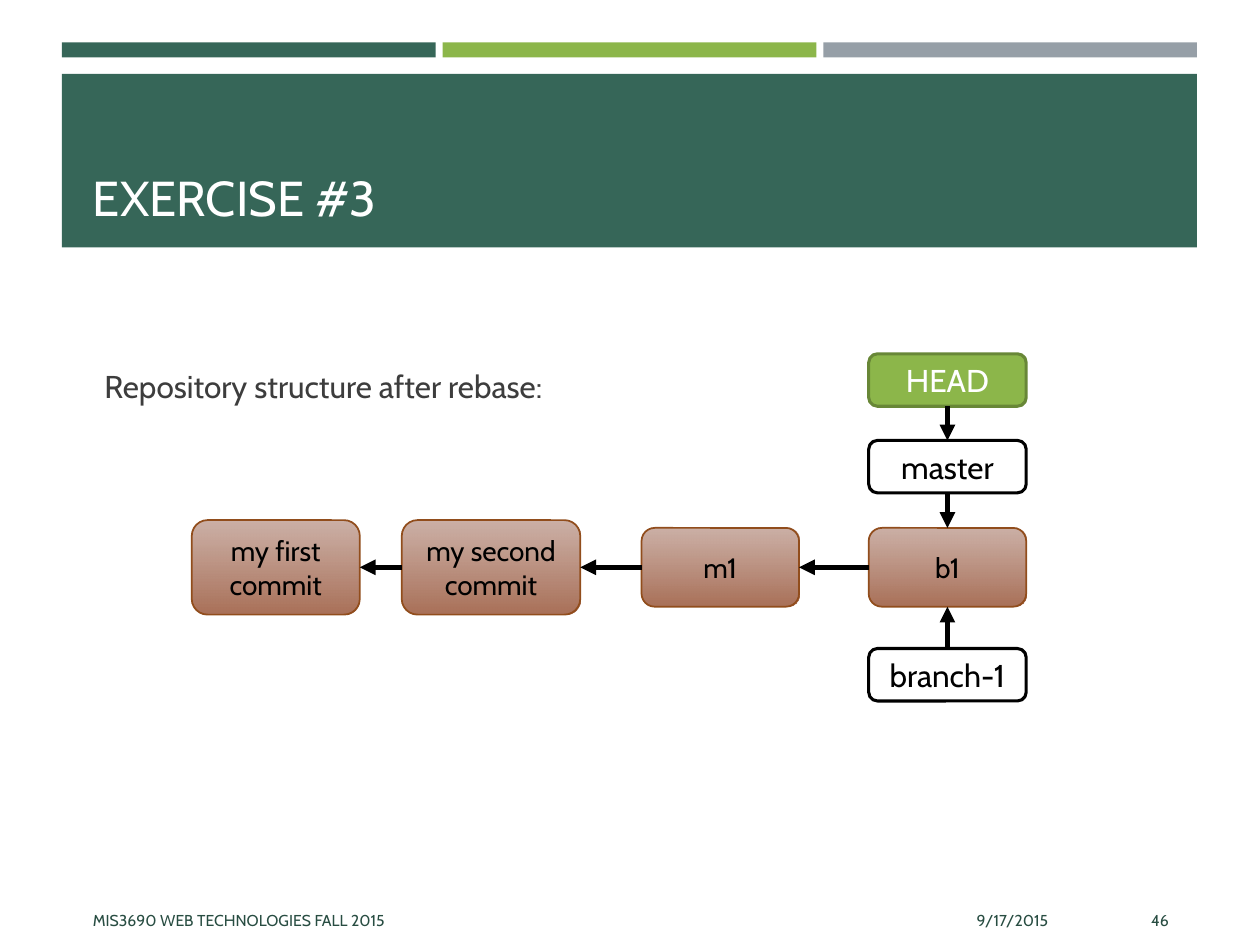
from lxml.etree import SubElement
from pptx import Presentation
from pptx.dml.color import RGBColor
from pptx.enum.shapes import MSO_CONNECTOR, MSO_SHAPE
from pptx.enum.text import MSO_ANCHOR, MSO_AUTO_SIZE, PP_ALIGN
from pptx.oxml.ns import qn
from pptx.util import Pt

FONT = "Cabin"
GREEN, LIME, GRAY = "366658", "8CB64A", "969FA7"
TOP, LEFT, BOTTOM, RIGHT = range(4)


def color(value):
    return RGBColor.from_string(value)


def place(shape, box):
    shape.left, shape.top, shape.width, shape.height = map(Pt, box)


def write(shape, text, size, ink, align=PP_ALIGN.LEFT, anchor=MSO_ANCHOR.MIDDLE):
    frame = shape.text_frame
    frame.text = text
    frame.word_wrap = True
    frame.auto_size = MSO_AUTO_SIZE.NONE
    frame.vertical_anchor = anchor
    para = frame.paragraphs[0]
    para.alignment = align
    font = para.runs[0].font
    font.name, font.size = FONT, Pt(size)
    font.color.rgb = color(ink)


def add_block(page, kind, box, fill=None):
    shape = page.shapes.add_shape(kind, *map(Pt, box))
    shape.shadow.inherit = False
    if fill:
        shape.fill.solid()
        shape.fill.fore_color.rgb = color(fill)
    return shape


def add_header(page, box):
    left, top, width, height = box
    gap, bar_height, band_top = 4, 8.6, 18
    bar_width = (width - 2 * gap) / 3
    for index, fill in enumerate((GREEN, LIME, GRAY)):
        bar_box = (left + index * (bar_width + gap), top, bar_width, bar_height)
        add_block(page, MSO_SHAPE.RECTANGLE, bar_box, fill).line.fill.background()
    band_box = (left, top + band_top, width, height - band_top)
    add_block(page, MSO_SHAPE.RECTANGLE, band_box, GREEN).line.fill.background()
    title = page.shapes.title
    place(title, (left + 10.5, top + 24, width - 20, 85))
    write(title, "EXERCISE #3", 28, "FFFFFF", anchor=MSO_ANCHOR.BOTTOM)
    tree = page.shapes._spTree
    tree.remove(title._element)
    tree.append(title._element)


def add_body(page, box):
    body = page.placeholders[1]
    place(body, box)
    write(body, "Repository structure after rebase:", 18, "3D3D3D", anchor=MSO_ANCHOR.TOP)
    body.text_frame.margin_top = Pt(67)
    para = body.text_frame.paragraphs[0]
    para.space_before = Pt(0)
    properties = para._p.get_or_add_pPr()
    properties.set("marL", str(Pt(1.5)))
    properties.set("indent", "0")
    SubElement(properties, qn("a:buNone"))


def add_node(page, text, box, size, ink, line, line_width, fill=None):
    node = add_block(page, MSO_SHAPE.ROUNDED_RECTANGLE, box, fill)
    node.line.color.rgb = color(line)
    node.line.width = Pt(line_width)
    write(node, text, size, ink, PP_ALIGN.CENTER)
    return node


def add_commit(page, text, box):
    node = add_node(page, text, box, 16, "000000", "914D1C", 1)
    node.fill.gradient()
    node.fill.gradient_angle = 270
    for stop, position, tint in zip(node.fill.gradient_stops, (0, 1), ("C6A79C", "A97058")):
        stop.position = position
        stop.color.rgb = color(tint)
    first_tint = node._element.find(".//" + qn("a:gs"))[0]
    SubElement(first_tint, qn("a:alpha")).set("val", "90000")
    return node


def add_arrow(page, start, start_site, end, end_site):
    arrow = page.shapes.add_connector(MSO_CONNECTOR.STRAIGHT, 0, 0, 0, 0)
    arrow.begin_connect(start, start_site)
    arrow.end_connect(end, end_site)
    arrow.line.color.rgb = color("000000")
    arrow.line.width = Pt(3)
    SubElement(arrow.line._get_or_add_ln(), qn("a:tailEnd")).set("type", "triangle")
    SubElement(arrow._element.spPr, qn("a:effectLst"))


def add_history(page, box):
    left, top, width, height = box
    middle = top + 122
    commits = []
    for text, offset, node_width, node_height in (
        ("my first commit", 0, 96, 54),
        ("my second commit", 120, 102, 54),
        ("m1", 257, 90, 45),
        ("b1", width - 90, 90, 45),
    ):
        node_box = (left + offset, middle - node_height / 2, node_width, node_height)
        commits.append(add_commit(page, text, node_box))

    label_left = left + width - 90
    head, master, branch = [
        add_node(page, text, (label_left, label_top, 90, 30), 18, ink, line, 1.75, fill)
        for text, label_top, ink, line, fill in (
            ("HEAD", top, "FFFFFF", "688737", LIME),
            ("master", top + 49.5, "000000", "000000", "FFFFFF"),
            ("branch-1", top + height - 30, "000000", "000000", "FFFFFF"),
        )
    ]
    for parent, child in zip(commits, commits[1:]):
        add_arrow(page, child, LEFT, parent, RIGHT)
    add_arrow(page, head, BOTTOM, master, TOP)
    add_arrow(page, master, BOTTOM, commits[-1], TOP)
    add_arrow(page, branch, TOP, commits[-1], BOTTOM)


def add_footer(page, box):
    left, top, width, height = box
    for text, offset, field_width, align in (
        ("MIS3690 WEB TECHNOLOGIES FALL 2015", 0, 384, PP_ALIGN.LEFT),
        ("9/17/2015", 392, 168, PP_ALIGN.RIGHT),
        ("46", width - 60, 60, PP_ALIGN.RIGHT),
    ):
        field_box = (left + offset, top, field_width, height)
        field = page.shapes.add_textbox(*map(Pt, field_box))
        write(field, text, 9, "284D42", align)


def main():
    deck = Presentation()
    deck.slide_width, deck.slide_height = Pt(720), Pt(540)
    page = deck.slides.add_slide(deck.slide_layouts[1])
    add_header(page, (35.4, 24.2, 648.6, 117.2))
    add_body(page, (51, 142.5, 618, 384))
    add_history(page, (109.6, 202.2, 476.8, 198.4))
    add_footer(page, (46, 511.3, 629, 29))
    deck.save("out.pptx")


if __name__ == "__main__":
    main()
